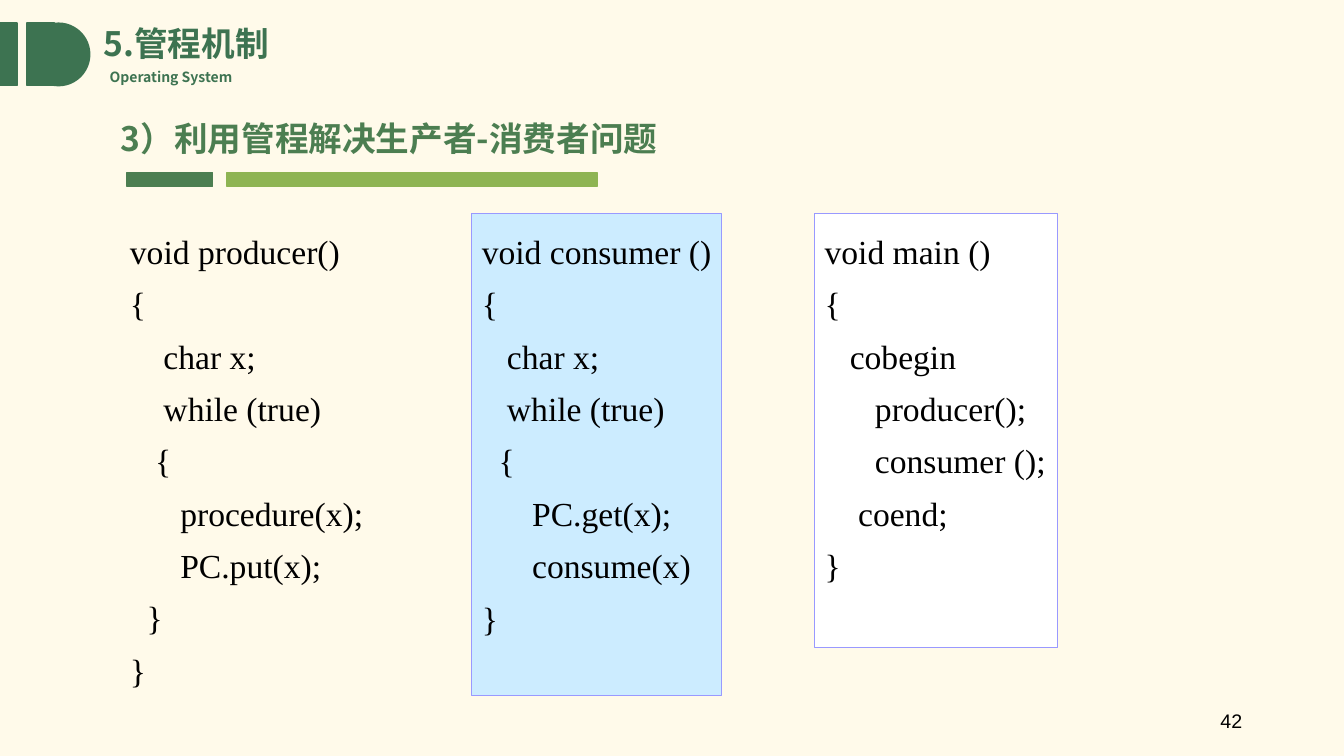
from dataclasses import dataclass

from lxml.etree import SubElement
from pptx import Presentation
from pptx.dml.color import RGBColor
from pptx.enum.shapes import MSO_SHAPE
from pptx.enum.text import MSO_ANCHOR, PP_ALIGN
from pptx.oxml.ns import qn
from pptx.util import Inches, Pt


@dataclass(frozen=True)
class Theme:
    """Colours, fonts and type sizes of the slide."""
    paper: str = "FFFAEA"
    brand: str = "3D7351"
    heading: str = "4C7E51"
    accent: str = "8EB453"
    ink: str = "000000"
    consumer_fill: str = "CCECFF"
    main_fill: str = "FFFFFF"
    frame: str = "9999FF"
    title_font: str = "Noto Sans CJK SC"
    code_font: str = "Times New Roman"
    number_font: str = "Arial"
    title_size: int = 24
    code_size: int = 24
    number_size: int = 14
    caption_size: int = 10


THEME = Theme()

PRODUCER = """void producer()
{
    char x;
    while (true)
   {
      procedure(x);
      PC.put(x);
  }
}"""

CONSUMER = """void consumer ()
{
   char x;
   while (true)
  {
      PC.get(x);
      consume(x)
}"""

MAIN = """void main ()
{
   cobegin
      producer();
      consumer ();
    coend;
}"""


def add_block(slide, box, fill, line, line_width=1, kind=MSO_SHAPE.RECTANGLE):
    """Draw a filled, outlined shape in the box and return it."""
    block = slide.shapes.add_shape(kind, *map(Inches, box))
    block.shadow.inherit = False
    block.fill.solid()
    block.fill.fore_color.rgb = RGBColor.from_string(fill)
    block.line.color.rgb = RGBColor.from_string(line)
    block.line.width = Pt(line_width)
    return block


def write(holder, text, *, font, size, color, bold=False, align=PP_ALIGN.LEFT,
          anchor=MSO_ANCHOR.TOP, spacing=1.0, wrap=True):
    """Write text into a shape, one paragraph for each line."""
    frame = holder.text_frame
    frame.word_wrap = wrap
    frame.vertical_anchor = anchor
    for index, line in enumerate(text.split("\n")):
        paragraph = frame.add_paragraph() if index else frame.paragraphs[0]
        paragraph.alignment = align
        paragraph.line_spacing = spacing
        run = paragraph.add_run()
        run.text = line
        run.font.name = font
        run.font.size = Pt(size)
        run.font.bold = bold
        run.font.color.rgb = RGBColor.from_string(color)
        SubElement(run.font._element, qn("a:ea"), typeface=font)


def add_label(slide, box, text, **style):
    """Place a text box holding the given text."""
    write(slide.shapes.add_textbox(*map(Inches, box)), text, **style)


def add_header(slide, left, top):
    """Draw the rounded tab mark with the chapter title and course name."""
    side = 0.62
    tab = left + 0.27
    for box, kind in (
        ((left, top, 0.17, side), MSO_SHAPE.RECTANGLE),
        ((tab, top, 0.27, side), MSO_SHAPE.RECTANGLE),
        ((tab, top, side, side), MSO_SHAPE.OVAL),
    ):
        add_block(slide, box, THEME.brand, THEME.brand, kind=kind)
    style = {"font": THEME.title_font, "color": THEME.brand, "bold": True}
    add_label(slide, (left + 0.99, top + 0.4, 1.47, 0.27), "Operating System",
              size=THEME.caption_size, wrap=False, **style)
    add_label(slide, (left + 0.93, top - 0.01, 4.34, 0.5), "5.管程机制",
              size=THEME.title_size, spacing=0.9, **style)


def add_section_heading(slide, left, top):
    """Place the section heading above its two-colour rule."""
    for offset, width, color in ((0.16, 0.85, THEME.heading),
                                 (1.15, 3.67, THEME.accent)):
        add_block(slide, (left + offset, top + 0.59, width, 0.14), color, color)
    add_label(slide, (left, top, 5.81, 0.5), "3）利用管程解决生产者-消费者问题",
              font=THEME.title_font, size=THEME.title_size,
              color=THEME.heading, bold=True)


def add_listings(slide, top):
    """Place the three program listings side by side."""
    style = {"font": THEME.code_font, "size": THEME.code_size,
             "color": THEME.ink, "spacing": 1.3}
    add_label(slide, (1.19, top, 8.58, 4.83), PRODUCER, **style)
    for left, width, height, fill, code in (
        (4.68, 2.48, 4.78, THEME.consumer_fill, CONSUMER),
        (8.08, 2.41, 4.3, THEME.main_fill, MAIN),
    ):
        panel = add_block(slide, (left, top, width, height), fill,
                          THEME.frame, 0.75)
        write(panel, code, wrap=False, **style)


def add_page_number(slide, box):
    """Place the page number at the right of the box."""
    add_label(slide, box, "42", font=THEME.number_font, size=THEME.number_size,
              color=THEME.ink, align=PP_ALIGN.RIGHT, anchor=MSO_ANCHOR.MIDDLE)


def main():
    """Build the slide and save it."""
    deck = Presentation()
    deck.slide_width, deck.slide_height = Inches(13.33), Inches(7.5)
    slide = deck.slides.add_slide(deck.slide_layouts[6])
    slide.background.fill.solid()
    slide.background.fill.fore_color.rgb = RGBColor.from_string(THEME.paper)
    add_header(slide, 0, 0.23)
    add_section_heading(slide, 1.1, 1.12)
    add_listings(slide, 2.12)
    add_page_number(slide, (9.42, 6.95, 3, 0.4))
    deck.save("out.pptx")


if __name__ == "__main__":
    main()
